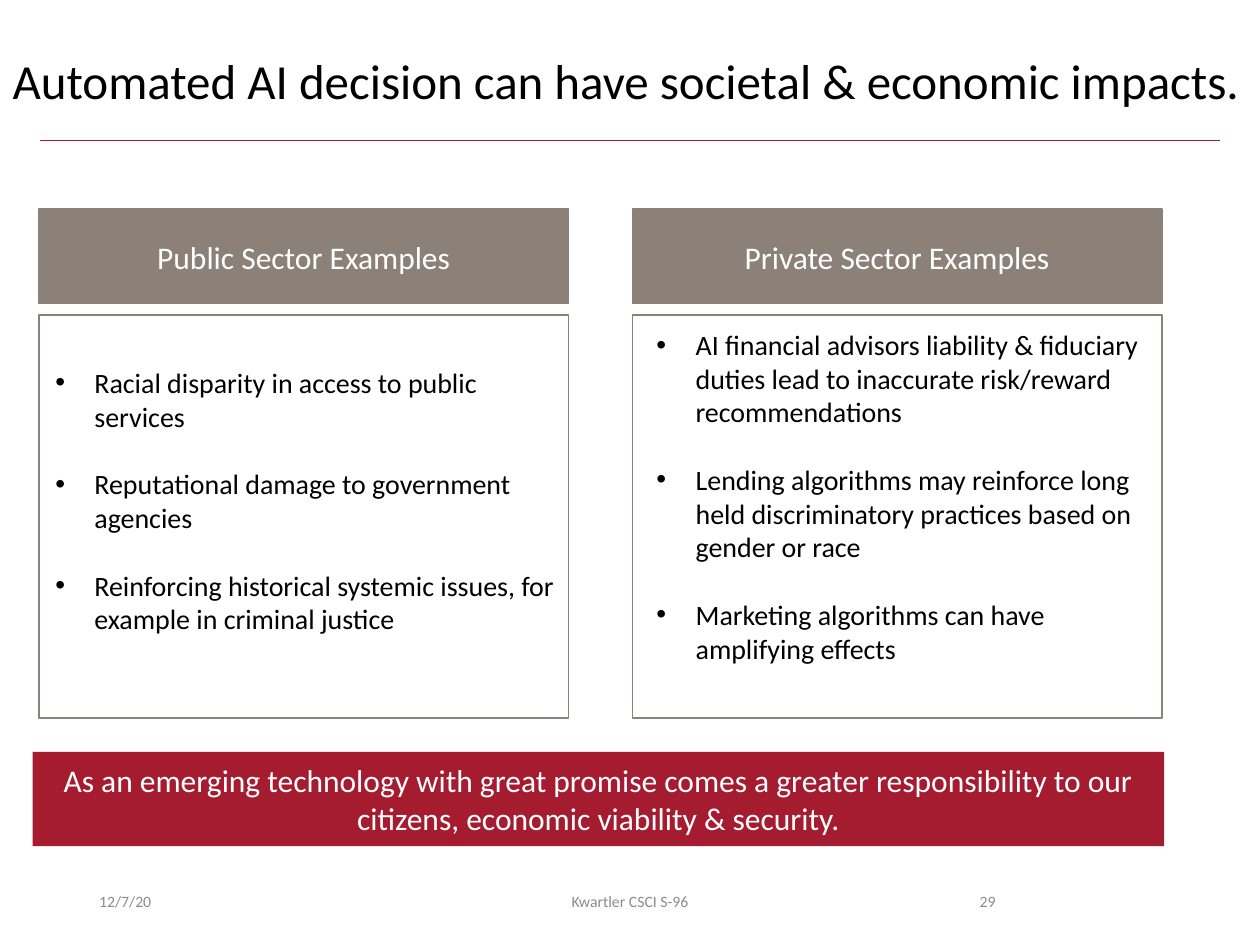
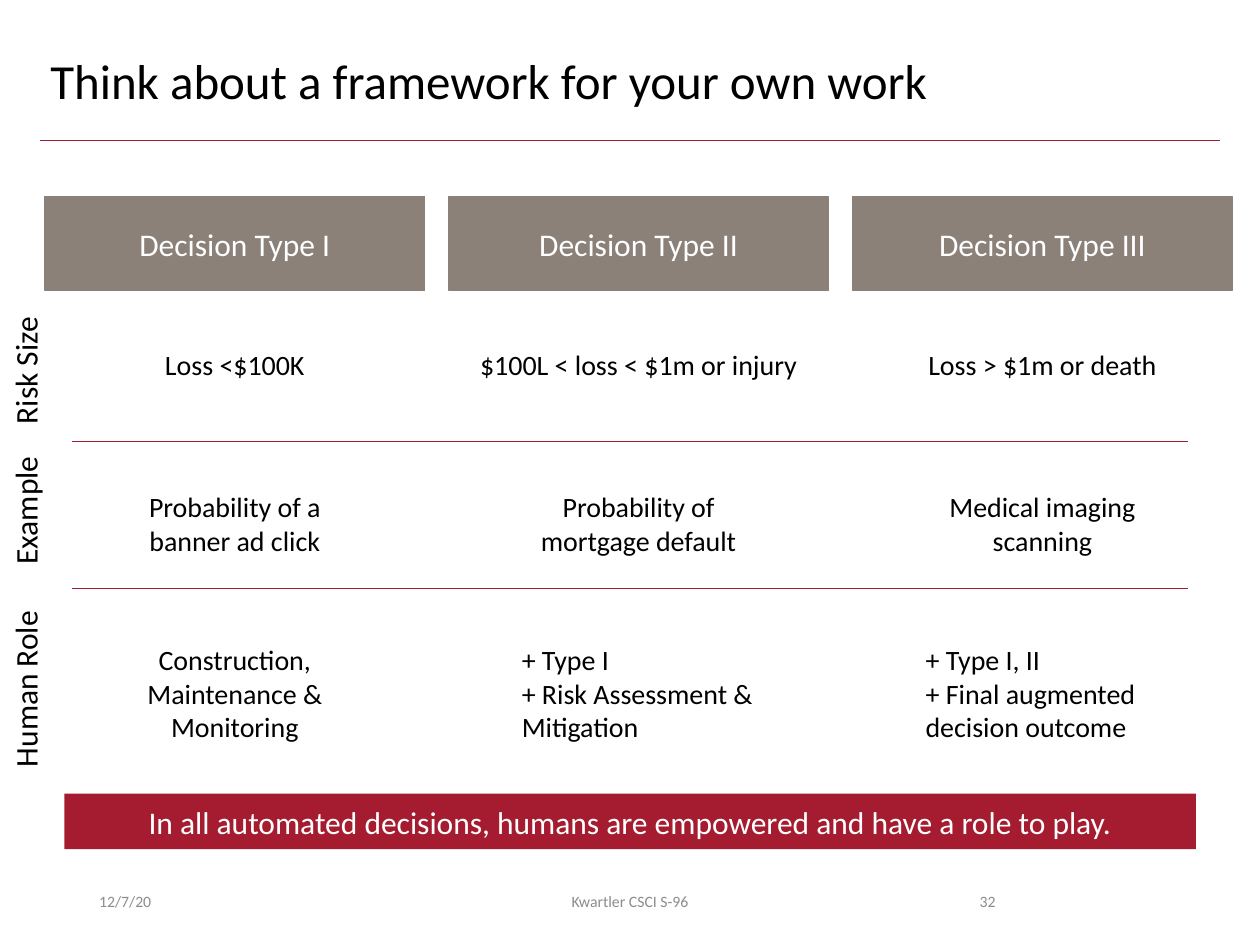
"""Builds two slides on the impact and the governance of automated decisions."""
from lxml import etree
from pptx import Presentation
from pptx.dml.color import RGBColor
from pptx.enum.shapes import MSO_CONNECTOR, MSO_SHAPE
from pptx.enum.text import MSO_ANCHOR, MSO_AUTO_SIZE, PP_ALIGN
from pptx.oxml.ns import qn
from pptx.util import Cm, Pt

LEFT, CENTER, RIGHT = PP_ALIGN.LEFT, PP_ALIGN.CENTER, PP_ALIGN.RIGHT
TOP, MIDDLE = MSO_ANCHOR.TOP, MSO_ANCHOR.MIDDLE
NO_FIT = MSO_AUTO_SIZE.NONE
RECTANGLE = MSO_SHAPE.RECTANGLE
STRAIGHT = MSO_CONNECTOR.STRAIGHT

CRIMSON = RGBColor(0xA5, 0x1C, 0x30)
TAUPE = RGBColor(0x8C, 0x81, 0x79)
GRAY = RGBColor(0x8C, 0x8C, 0x8C)
BLACK = RGBColor(0, 0, 0)
WHITE = RGBColor(0xFF, 0xFF, 0xFF)

FONT = "Calibri"
TITLE_SIZE, HEADING_SIZE, BODY_SIZE, FOOTER_SIZE = 28, 18, 16, 9
TWO_CONTENT, TITLE_ONLY = 3, 5
HEADING_HEIGHT = 1.9


class SlideBuilder:
    """Holds the shared style and the slide being drawn."""

    def __init__(self):
        self.deck = Presentation()
        self.deck.slide_width, self.deck.slide_height = Cm(25.4), Cm(19.05)
        self.page = None

    def start_page(self, layout, title, title_left, number):
        self.page = self.deck.slides.add_slide(self.deck.slide_layouts[layout])
        box = self.page.shapes.title
        self.place(box, title_left, 1.02, 25.4 - title_left, 1.65)
        self.fill_text(box, title, TITLE_SIZE)
        box.text_frame.paragraphs[0].line_spacing = 0.9
        self.rule(0.81, 24.59, 2.84)
        self.footer(1.75, 5.72, "12/7/20", LEFT)
        self.footer(8.41, 8.58, "Kwartler CSCI S-96", CENTER)
        self.footer(17.93, 2.39, number, RIGHT)

    def place(self, box, left, top, width, height):
        box.left, box.top, box.width, box.height = Cm(left), Cm(top), Cm(width), Cm(height)

    def fill_text(self, box, text, size, color=BLACK, align=LEFT, anchor=TOP, wrap=True):
        frame = box.text_frame
        frame.text = text
        frame.auto_size = NO_FIT
        frame.word_wrap = wrap
        frame.vertical_anchor = anchor
        for para in frame.paragraphs:
            para.alignment = align
            for span in para.runs:
                span.font.name = FONT
                span.font.size = Pt(size)
                span.font.color.rgb = color

    def text(self, left, top, width, height, text, size=BODY_SIZE, **style):
        box = self.page.shapes.add_textbox(Cm(left), Cm(top), Cm(width), Cm(height))
        self.fill_text(box, text, size, **style)
        return box

    def footer(self, left, width, text, align):
        self.text(left, 17.65, width, 1.02, text, FOOTER_SIZE, color=GRAY, align=align, anchor=MIDDLE)

    def side_label(self, center_x, center_y, width, text):
        height = 1.02
        box = self.text(center_x - width / 2, center_y - height / 2, width, height,
                        text, HEADING_SIZE, align=CENTER, wrap=False)
        box.rotation = 270

    def rectangle(self, left, top, width, height, fill=None, line=None):
        box = self.page.shapes.add_shape(RECTANGLE, Cm(left), Cm(top), Cm(width), Cm(height))
        box.shadow.inherit = False
        if fill is None:
            box.fill.background()
        else:
            box.fill.solid()
            box.fill.fore_color.rgb = fill
        if line is None:
            box.line.fill.background()
        else:
            box.line.color.rgb = line
            box.line.width = Pt(1)
        return box

    def heading(self, left, top, width, text):
        box = self.rectangle(left, top, width, HEADING_HEIGHT, TAUPE, TAUPE)
        self.fill_text(box, text, HEADING_SIZE, WHITE, CENTER, MIDDLE)

    def banner(self, left, top, height, text):
        box = self.rectangle(left, top, 22.81, height, CRIMSON)
        self.fill_text(box, text, HEADING_SIZE, WHITE, CENTER, MIDDLE)

    def bullets(self, index, left, top, height, items):
        box = self.page.placeholders[index]
        self.place(box, left, top, 10.62, height)
        self.fill_text(box, "\n".join(items), BODY_SIZE)
        for position, para in enumerate(box.text_frame.paragraphs):
            para.line_spacing = 1.0
            para.space_before = Pt(19.5 if position else 0)
            properties = para._p.get_or_add_pPr()
            properties.set("marL", str(Cm(0.79)))
            properties.set("indent", str(Cm(-0.79)))

    def rule(self, start, end, top):
        line = self.page.shapes.add_connector(STRAIGHT, Cm(start), Cm(top), Cm(end), Cm(top))
        line.line.color.rgb = CRIMSON
        line.line.width = Pt(0.5)
        etree.SubElement(line._element.spPr, qn("a:effectLst"))


def build_impacts(builder):
    builder.start_page(TWO_CONTENT, "Automated AI decision can have societal & economic impacts.", 0, "29")
    sectors = [
        ("Public Sector Examples", 0.79, 0.86, 7.24, 5.74, [
            "Racial disparity in access to public services",
            "Reputational damage to government agencies",
            "Reinforcing historical systemic issues, for example in criminal justice"]),
        ("Private Sector Examples", 12.75, 12.98, 6.48, 7.26, [
            "AI financial advisors liability & fiduciary duties lead to inaccurate risk/reward recommendations",
            "Lending algorithms may reinforce long held discriminatory practices based on gender or race",
            "Marketing algorithms can have amplifying effects"]),
    ]
    for index, (name, left, list_left, list_top, list_height, items) in enumerate(sectors, 1):
        builder.rectangle(left, 6.35, 10.67, 8.13, line=TAUPE)
        builder.heading(left, 4.22, 10.67, name)
        builder.bullets(index, list_left, list_top, list_height, items)
    builder.banner(0.66, 15.16, 1.9,
                   "As an emerging technology with great promise comes a greater responsibility "
                   "to our citizens, economic viability & security.")


def build_framework(builder):
    builder.start_page(TITLE_ONLY, "Think about a framework for your own work", 0.76, "32")
    decisions = [
        ("Decision Type I", "Loss <$100K", 3.38, "Probability of a banner ad click",
         "Construction, Maintenance & Monitoring", CENTER),
        ("Decision Type II", "$100L < loss < $1m or injury", 6.99, "Probability of mortgage default",
         "+ Type I\n+ Risk Assessment & Mitigation", LEFT),
        ("Decision Type III", "Loss > $1m or death", 5.18, "Medical imaging scanning",
         "+ Type I, II\n+ Final augmented decision outcome", LEFT),
    ]
    pitch, cell_width = 8.14, 5.21
    for column, (name, risk, risk_width, example, role, role_align) in enumerate(decisions):
        shift = column * pitch
        cell_left = 2.13 + shift
        risk_left = cell_left + (cell_width - risk_width) / 2
        builder.heading(0.91 + shift, 3.96, 7.65, name)
        builder.text(risk_left, 6.88, risk_width, 0.94, risk, align=CENTER, wrap=False)
        builder.text(cell_left, 9.75, cell_width, 1.63, example, align=CENTER)
        builder.text(cell_left, 12.83, cell_width, 2.31, role, align=role_align)
    for label, center_y, width in [("Risk Size", 7.47, 2.69), ("Example", 10.29, 2.72),
                                   ("Human Role", 13.89, 3.71)]:
        builder.side_label(0.51, center_y, width, label)
    for top in (8.89, 11.86):
        builder.rule(1.45, 23.95, top)
    builder.banner(1.3, 16, 1.12,
                   "In all automated decisions, humans are empowered and have a role to play.")


def main():
    builder = SlideBuilder()
    build_impacts(builder)
    build_framework(builder)
    builder.deck.save("out.pptx")


if __name__ == "__main__":
    main()
